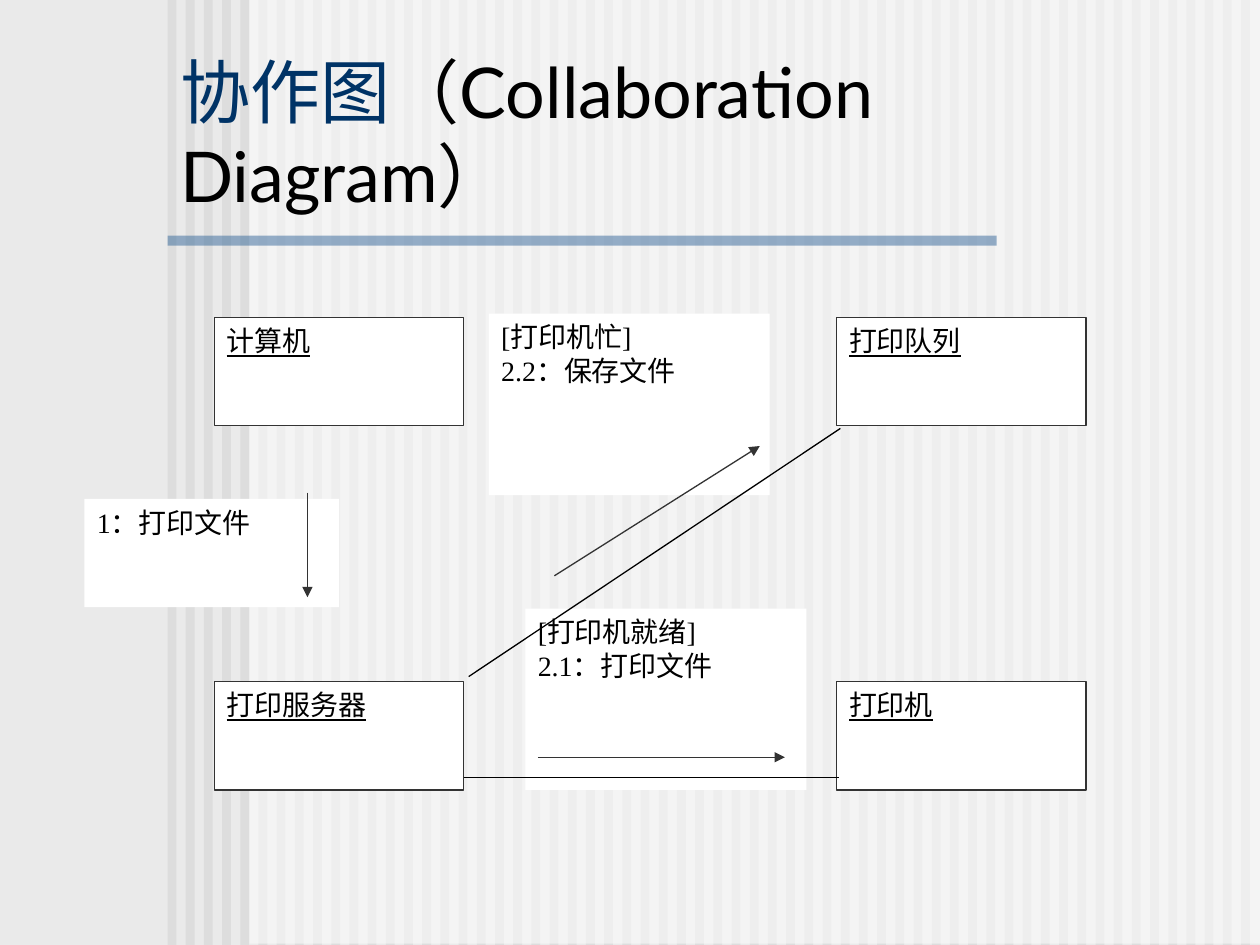
from lxml import etree
from pptx import Presentation
from pptx.dml.color import RGBColor
from pptx.enum.shapes import MSO_CONNECTOR, MSO_SHAPE
from pptx.enum.text import MSO_ANCHOR, MSO_AUTO_SIZE, PP_ALIGN
from pptx.oxml.ns import qn
from pptx.util import Inches, Pt

RECT = MSO_SHAPE.RECTANGLE
LINE = MSO_CONNECTOR.STRAIGHT
TOP, BOTTOM = MSO_ANCHOR.TOP, MSO_ANCHOR.BOTTOM
LEFT, JUSTIFY = PP_ALIGN.LEFT, PP_ALIGN.JUSTIFY
FIXED = MSO_AUTO_SIZE.NONE

COLORS = {
    "back": "EAEAEA", "stripe": "DDDDDD", "white": "FFFFFF", "rule": "336699",
    "title": "003366", "black": "000000", "edge": "333333",
}
TITLE_FONT, BODY_FONT = "Lato", "Times New Roman"


def color(name):
    return RGBColor.from_string(COLORS[name])


class Page:
    """Draws styled elements on one slide."""

    def __init__(self, slide):
        self.slide = slide
        self.shapes = slide.shapes
        fill = slide.background.fill
        fill.solid()
        fill.fore_color.rgb = color("back")

    def block(self, x, y, w, h, fill, alpha=100):
        shape = self.shapes.add_shape(RECT, Inches(x), Inches(y), Inches(w), Inches(h))
        shape.shadow.inherit = False
        shape.fill.solid()
        shape.fill.fore_color.rgb = color(fill)
        shape.line.fill.background()
        if alpha < 100:
            tint = shape.fill._xPr.find(qn("a:solidFill"))[0]
            etree.SubElement(tint, qn("a:alpha"), val=str(alpha * 1000))
        return shape

    def title(self, parts):
        shape = self.shapes.title
        self.shapes._spTree.append(shape._element)
        shape.left, shape.top = Inches(1.33), Inches(1.08)
        shape.width, shape.height = Inches(7.33), Inches(0.69)
        frame = shape.text_frame
        frame.word_wrap, frame.auto_size = True, FIXED
        frame.vertical_anchor = BOTTOM
        para = frame.paragraphs[0]
        para.alignment = LEFT
        for text, tone in parts:
            run = para.add_run()
            run.text = text
            run.font.name, run.font.size = TITLE_FONT, Pt(40)
            run.font.color.rgb = color(tone)

    def label(self, x, y, w, h, text, under=False):
        shape = self.block(x, y, w, h, "white")
        frame = shape.text_frame
        frame.word_wrap = True
        frame.vertical_anchor = TOP
        frame.text = text
        for para in frame.paragraphs:
            para.alignment = JUSTIFY
            for run in para.runs:
                font = run.font
                font.name, font.size = BODY_FONT, Pt(16)
                font.color.rgb = color("black")
                if under:
                    font.underline = True
        return shape

    def node(self, x, y, text):
        shape = self.label(x, y, 1.98, 0.86, text, under=True)
        shape.line.color.rgb = color("edge")
        shape.line.width = Pt(0.75)

    def link(self, start, end, tone="black", arrow=False):
        line = self.shapes.add_connector(LINE, *map(Inches, start + end))
        line.line.color.rgb = color(tone)
        line.line.width = Pt(0.75)
        if arrow:
            etree.SubElement(line.line._get_or_add_ln(), qn("a:tailEnd"), type="triangle")
        etree.SubElement(line._element.spPr, qn("a:effectLst"))


def main():
    deck = Presentation()
    deck.slide_width, deck.slide_height = Inches(10), Inches(7.5)
    page = Page(deck.slides.add_slide(deck.slide_layouts[5]))

    count, first, last = 60, 1.33, 9.85
    for i in range(count):
        page.block(first + i * (last - first) / (count - 1), 0, 0.07, 7.5, "stripe")
    page.block(1.98, -0.01, 8.02, 7.5, "white", 50)
    page.block(1.33, 1.87, 6.58, 0.08, "rule", 50)
    page.title([("协作图", "title"), ("（Collaboration Diagram）", "black")])

    page.label(3.88, 2.49, 2.23, 1.44, "[打印机忙]\n2.2：保存文件")
    page.label(4.17, 4.83, 2.23, 1.44, "[打印机就绪]\n2.1：打印文件")
    page.label(0.67, 3.96, 2.02, 0.86, "1：打印文件")

    rows = [(2.52, ("计算机", "打印队列")), (5.41, ("打印服务器", "打印机"))]
    for y, names in rows:
        for x, name in zip((1.7, 6.64), names):
            page.node(x, y, name)

    arrows = [
        ((2.44, 3.91), (2.44, 4.74)),
        ((4.27, 6.01), (6.23, 6.01)),
        ((4.4, 4.57), (6.03, 3.54)),
    ]
    for start, end in arrows:
        page.link(start, end, "edge", arrow=True)
    page.link((3.72, 5.37), (6.67, 3.4))
    page.link((3.68, 6.17), (6.66, 6.17))

    deck.save("out.pptx")


if __name__ == "__main__":
    main()
